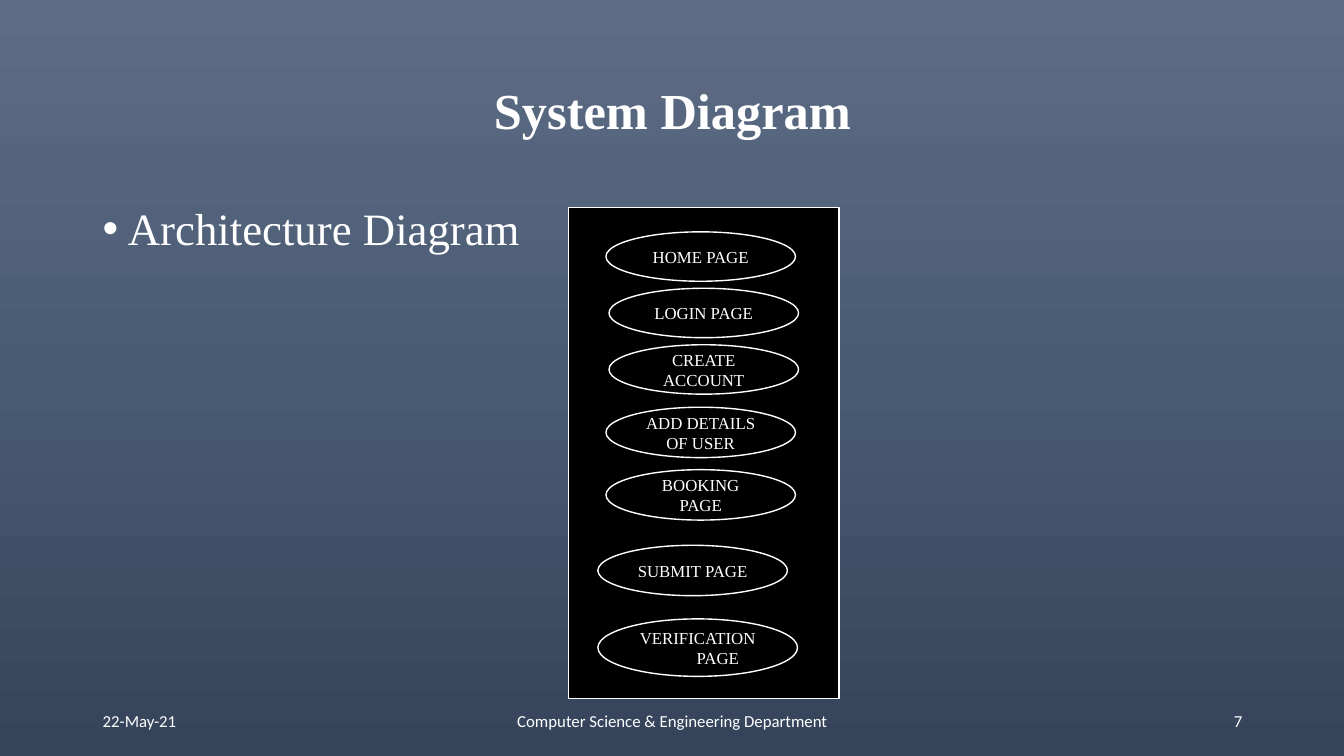
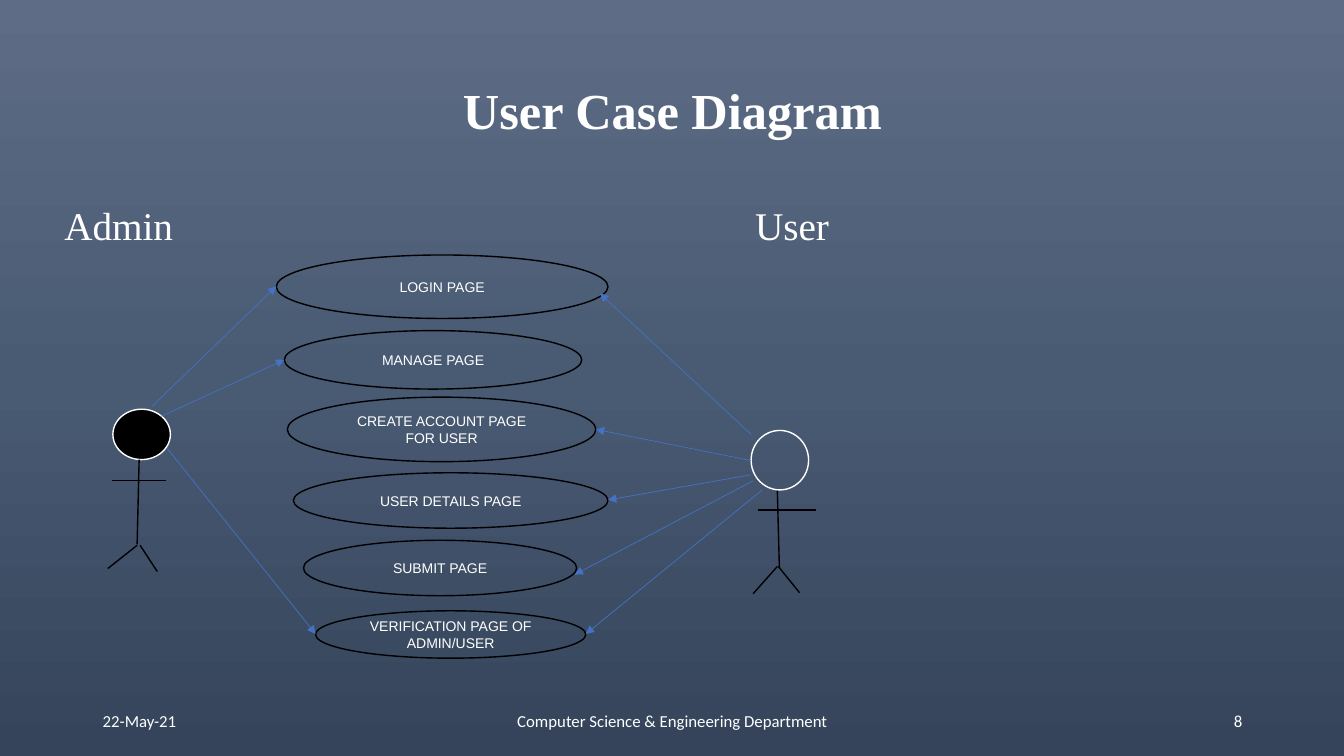
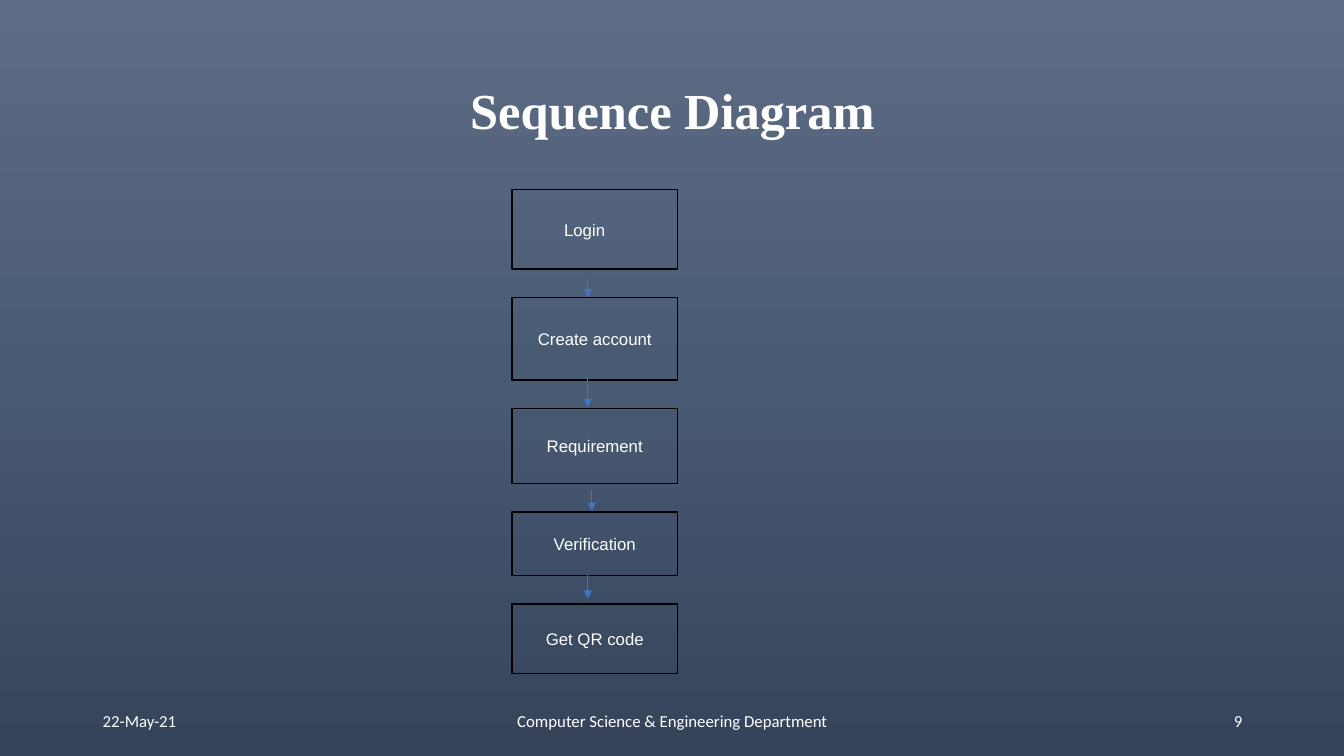
"""Build three slides with a system, a use case and a sequence diagram."""
import copy

import pptx
import pptx.dml.color
import pptx.enum.shapes
import pptx.enum.text
import pptx.oxml
import pptx.oxml.ns
import pptx.util
from lxml import etree

Inches = pptx.util.Inches
Pt = pptx.util.Pt
RGB = pptx.dml.color.RGBColor.from_string
qn = pptx.oxml.ns.qn
SHAPE = pptx.enum.shapes.MSO_SHAPE
ALIGN = pptx.enum.text.PP_ALIGN
ANCHOR = pptx.enum.text.MSO_ANCHOR

COLORS = {
    "sky": "5E6D85",
    "slate": "495A73",
    "night": "35445A",
    "white": "FFFFFF",
    "black": "000000",
    "arrow": "4472C4",
}
SERIF, SANS, FOOTER = "Times New Roman", "Arial", "Calibri"


def add_box(page, place, text="", size=12, font=SERIF, kind=None, fill=None,
            line="black", align=ALIGN.CENTER, anchor=ANCHOR.MIDDLE):
    """Add a text box, or a preset shape when a kind is given."""
    place = [Inches(length) for length in place]
    if kind is None:
        box = page.shapes.add_textbox(*place)
    else:
        box = page.shapes.add_shape(kind, *place)
        box.shadow.inherit = False
        box.fill.background()
        if fill:
            box.fill.solid()
            box.fill.fore_color.rgb = RGB(COLORS[fill])
        box.line.color.rgb = RGB(COLORS[line])
        box.line.width = Pt(1)
    frame = box.text_frame
    frame.word_wrap = True
    frame.vertical_anchor = anchor
    frame.text = text
    for para in frame.paragraphs:
        para.alignment = align
        for span in para.runs:
            span.font.size = Pt(size)
            span.font.name = font
            span.font.color.rgb = RGB(COLORS["white"])
    return box


def add_line(page, ends, arrow=False):
    """Add a thin arrow or a plain black line."""
    connector = page.shapes.add_connector(
        pptx.enum.shapes.MSO_CONNECTOR.STRAIGHT, *[Inches(length) for length in ends])
    connector.line.color.rgb = RGB(COLORS["arrow" if arrow else "black"])
    connector.line.width = Pt(0.5 if arrow else 1)
    properties = connector.element.spPr
    if arrow:
        etree.SubElement(properties.find(qn("a:ln")), qn("a:tailEnd"), type="triangle")
    etree.SubElement(properties, qn("a:effectLst"))


deck = pptx.Presentation()
deck.slide_width = Inches(13.33)
deck.slide_height = Inches(7.5)

titles = ["System Diagram", "User Case Diagram", "Sequence Diagram"]
for number, title in enumerate(titles, start=7):
    page = deck.slides.add_slide(deck.slide_layouts[6])
    backdrop = page.background.fill
    backdrop.gradient()
    backdrop.gradient_angle = 270
    stop_list = page.element.find(".//" + qn("a:gsLst"))
    stop_list.append(copy.deepcopy(stop_list[0]))
    for stop, position, color in zip(backdrop.gradient_stops, (0, 0.5, 1),
                                     ("sky", "slate", "night")):
        stop.position = position
        stop.color.rgb = RGB(COLORS[color])

    heading = add_box(page, (0.92, 0.4, 11.5, 1.45), title, 36)
    heading.text_frame.paragraphs[0].line_spacing = 0.9
    heading.text_frame.paragraphs[0].runs[0].font.bold = True

    for left, width, text, align in [
        (0.92, 3, "22-May-21", ALIGN.LEFT),
        (4.42, 4.5, "Computer Science & Engineering Department", ALIGN.CENTER),
        (9.42, 3, str(number), ALIGN.RIGHT),
    ]:
        add_box(page, (left, 6.95, width, 0.4), text, 12, FOOTER, align=align)

system_page, case_page, sequence_page = deck.slides

for page, place, text, size in [
    (system_page, (0.92, 2, 11.5, 4.83), "Architecture Diagram", 32),
    (case_page, (0.54, 2, 3, 0.7), "Admin", 28),
    (case_page, (7.39, 2, 3, 0.7), "User", 28),
]:
    label = add_box(page, place, text, size, align=ALIGN.LEFT, anchor=ANCHOR.TOP)
    para = label.text_frame.paragraphs[0]
    para.line_spacing = 0.9
    para.space_before = Pt(10)
    if page is system_page:
        settings = para._p.get_or_add_pPr()
        settings.set("marL", str(Inches(0.25)))
        settings.set("indent", str(-Inches(0.25)))
        etree.SubElement(settings, qn("a:buFont"), typeface=SANS)
        etree.SubElement(settings, qn("a:buChar"), char="•")

add_box(system_page, (5.64, 2.06, 2.68, 4.87), kind=SHAPE.RECTANGLE,
        fill="black", line="white")
for left, top, width, height, text in [
    (6.01, 2.3, 1.88, 0.49, "HOME PAGE"),
    (6.04, 2.86, 1.88, 0.49, "LOGIN PAGE"),
    (6.04, 3.42, 1.88, 0.49, "CREATE ACCOUNT"),
    (6.01, 4.04, 1.88, 0.5, "ADD DETAILS OF USER"),
    (6.01, 4.66, 1.88, 0.5, "BOOKING PAGE"),
    (5.93, 5.41, 1.88, 0.5, "SUBMIT PAGE"),
    (5.93, 6.14, 1.98, 0.57, "VERIFICATION\nPAGE"),
]:
    step = add_box(system_page, (left, top, width, height), text,
                   kind=SHAPE.OVAL, fill="black", line="white")
last_line = step.text_frame.paragraphs[-1]
last_line._p.get_or_add_pPr().set("marL", str(Inches(0.4)))

for left, top, width, height, text in [
    (2.74, 2.53, 3.29, 0.63, "LOGIN PAGE"),
    (2.82, 3.28, 2.95, 0.58, "MANAGE PAGE"),
    (2.85, 3.94, 3.06, 0.64, "CREATE ACCOUNT PAGE FOR USER"),
    (2.91, 4.69, 3.12, 0.55, "USER DETAILS PAGE"),
    (3.01, 5.36, 2.71, 0.55, "SUBMIT PAGE"),
    (3.13, 6.06, 2.68, 0.47, "VERIFICATION PAGE OF ADMIN/USER"),
]:
    add_box(case_page, (left, top, width, height), text, 10, SANS, SHAPE.OVAL)

actors = [
    {
        "head": (1.12, 4.06, 0.57, 0.5),
        "fill": "black",
        "limbs": [(1.38, 4.56, 1.36, 5.4), (1.11, 4.77, 1.65, 4.77),
                  (1.36, 5.41, 1.07, 5.64), (1.56, 5.67, 1.39, 5.41)],
        "uses": [(1.51, 4.03, 2.74, 2.84), (1.6, 4.13, 2.82, 3.57),
                 (1.66, 4.45, 3.13, 6.29)],
    },
    {
        "head": (7.45, 4.27, 0.57, 0.59),
        "fill": None,
        "limbs": [(7.71, 4.87, 7.73, 5.63), (7.52, 5.06, 8.09, 5.06),
                  (7.71, 5.62, 7.47, 5.89), (7.93, 5.88, 7.72, 5.62)],
        "uses": [(7.45, 4.31, 5.95, 2.91), (7.45, 4.57, 5.91, 4.26),
                 (7.45, 4.71, 6.03, 4.96), (7.47, 4.77, 5.7, 5.7),
                 (7.56, 4.86, 5.81, 6.29)],
    },
]
for actor in actors:
    add_box(case_page, actor["head"], kind=SHAPE.FLOWCHART_CONNECTOR,
            fill=actor["fill"], line="white")
    for ends in actor["limbs"]:
        add_line(case_page, ends)
    for ends in actor["uses"]:
        add_line(case_page, ends, arrow=True)

top, gap = 1.88, 0.28
for text, height in [("Login", 0.79), ("Create account", 0.82), ("Requirement", 0.75),
                     ("Verification", 0.63), ("Get QR code", 0.69)]:
    stage = add_box(sequence_page, (5.08, top, 1.64, height), text, 12, SANS,
                    SHAPE.RECTANGLE)
    if text == "Login":
        stage.text_frame.margin_right = Inches(0.3)
    top += height + gap

for left, start, end in [(5.83, 2.77, 2.95), (5.83, 3.75, 4.04),
                         (5.87, 4.86, 5.07), (5.83, 5.7, 5.94)]:
    add_line(sequence_page, (left, start, left, end), arrow=True)

deck.save("out.pptx")
